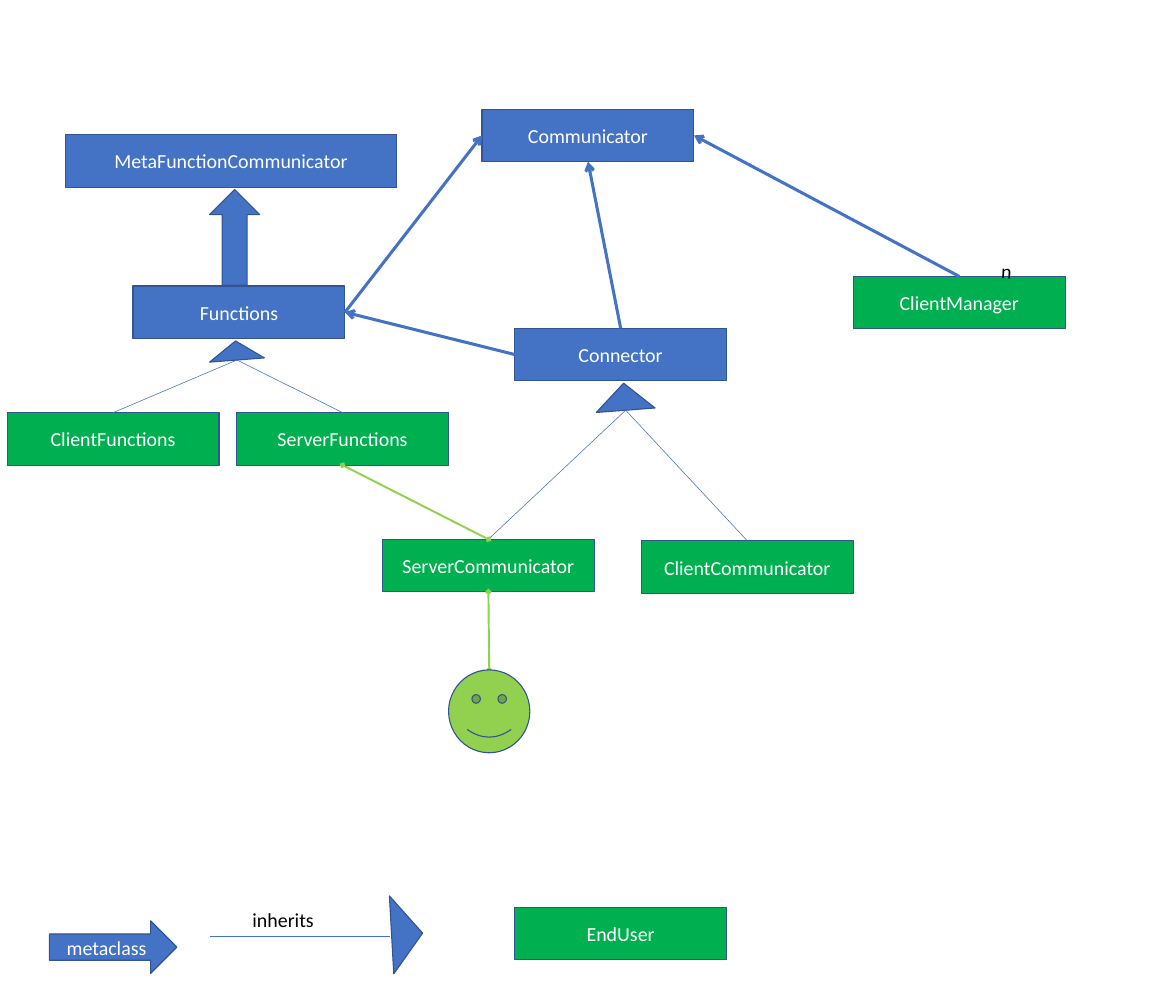
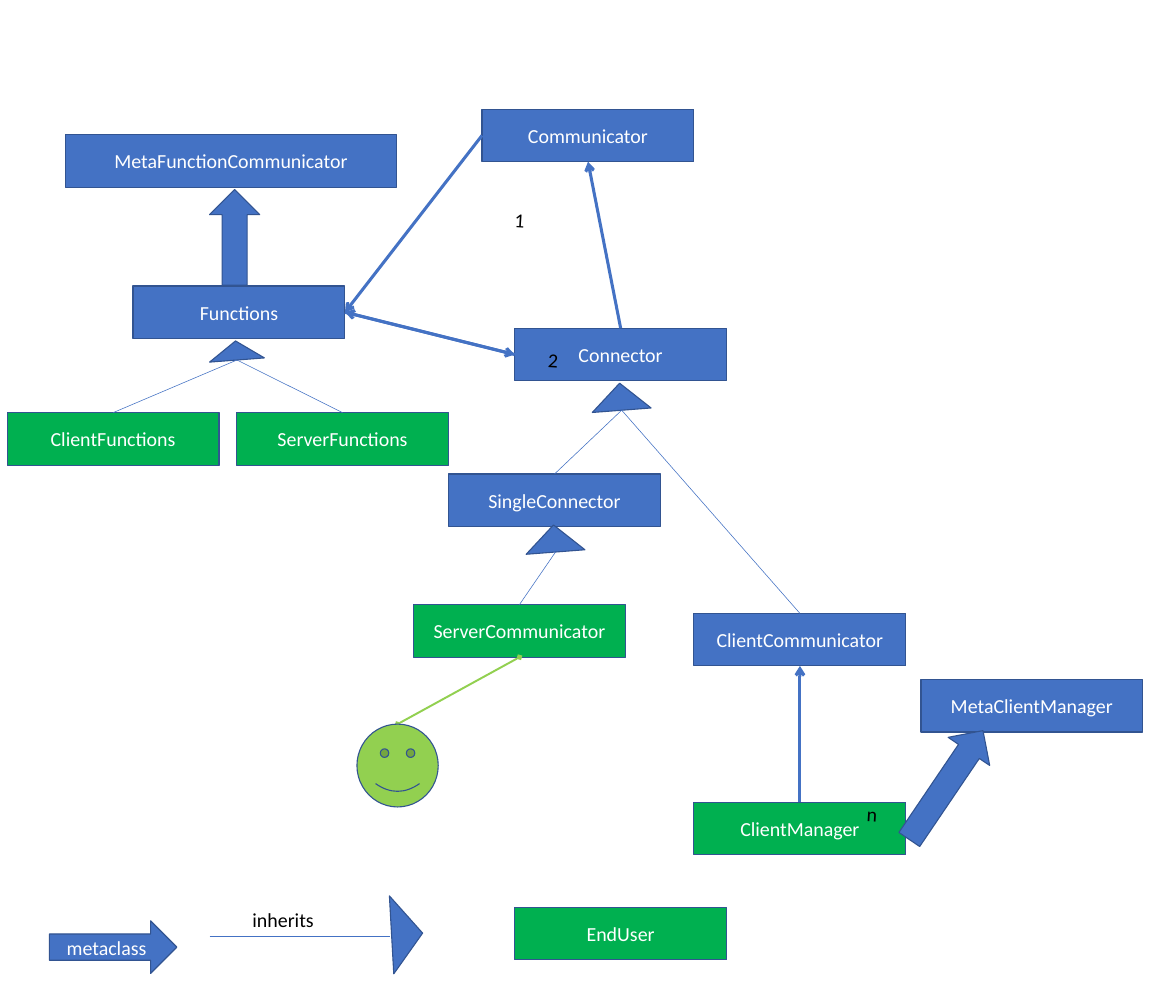
"""Build two class diagrams of a client and server communication library."""
import math

from lxml import etree
from pptx import Presentation
from pptx import util as u
from pptx.dml.color import RGBColor
from pptx.enum import shapes, text
from pptx.oxml.ns import qn

COLOURS = {"blue": "4472C4", "outline": "325491", "green": "00B050",
           "lime": "92D050", "white": "FFFFFF", "black": "000000"}
FONT, FONT_SIZE = "Calibri", 18
SLIDE_SIZE = (14.76, 12.44)
BOX_WIDTH, BOX_HEIGHT = 2.66, 0.66
LABEL_SIZE = (0.75, 0.4)
LABEL_TILT, TRIANGLE_TILT = 3.6, 355.6
SITES = ["top", "left", "bottom", "right"]
PRESETS = shapes.MSO_SHAPE

# name, left, top, fill, width
SHARED_BOXES = [
    ("Communicator", 6.05, 1.37, "blue", BOX_WIDTH),
    ("MetaFunctionCommunicator", 0.82, 1.69, "blue", 4.16),
    ("Connector", 6.46, 4.12, "blue", BOX_WIDTH),
    ("Functions", 1.67, 3.59, "blue", BOX_WIDTH),
    ("ClientFunctions", 0.09, 5.18, "green", BOX_WIDTH),
    ("ServerFunctions", 2.97, 5.18, "green", BOX_WIDTH),
    ("EndUser", 6.46, 11.39, "green", BOX_WIDTH),
]
SHARED_INHERITANCE = [
    ((2.62, 4.28, 0.69, 0.24), ["ClientFunctions", "ServerFunctions"]),
]
SHARED_META_ARROWS = [((2.63, 2.38, 0.63, 1.2), 180)]
SHARED_USES = [("Connector.top", "Communicator.bottom"),
               ("Connector.left", "Functions.right")]

DIAGRAMS = [
    {
        "boxes": [
            ("ServerCommunicator", 4.8, 6.77, "green", BOX_WIDTH),
            ("ClientCommunicator", 8.05, 6.79, "green", BOX_WIDTH),
            ("ClientManager", 10.71, 3.47, "green", BOX_WIDTH),
        ],
        "inheritance": [
            ((7.47, 4.81, 0.74, 0.34),
             ["ServerCommunicator", "ClientCommunicator"]),
        ],
        "meta_arrows": [],
        "uses": [("Functions.right", "Communicator.left"),
                 ("ClientManager.top", "Communicator.right")],
        "user": (5.63, 8.41),
        "user_links": [("User.top", "ServerCommunicator.bottom"),
                       ("ServerCommunicator.top", "ServerFunctions.bottom")],
        "labels": [("n", 12.47, 3.22)],
    },
    {
        "boxes": [
            ("SingleConnector", 5.63, 5.95, "blue", BOX_WIDTH),
            ("ServerCommunicator", 5.19, 7.59, "green", BOX_WIDTH),
            ("ClientCommunicator", 8.71, 7.7, "blue", BOX_WIDTH),
            ("ClientManager", 8.71, 10.07, "green", BOX_WIDTH),
            ("MetaClientManager", 11.56, 8.53, "blue", 2.78),
        ],
        "inheritance": [
            ((7.42, 4.81, 0.74, 0.34),
             ["SingleConnector", "ClientCommunicator"]),
            ((6.59, 6.59, 0.74, 0.34), ["ServerCommunicator"]),
        ],
        "meta_arrows": [((11.56, 9.03, 0.63, 1.65), 214.1)],
        "uses": [("Functions.right", "Connector.left"),
                 ("ClientManager.top", "ClientCommunicator.bottom"),
                 ("Communicator.left", "Functions.right")],
        "user": (4.48, 9.09),
        "user_links": [("User.top", "ServerCommunicator.bottom")],
        "labels": [("n", 10.78, 10.03), ("2", 6.78, 4.33), ("1", 6.36, 2.57)],
    },
]


def rgb(name):
    return RGBColor.from_string(COLOURS[name])


def inches(values):
    return [u.Inches(value) for value in values]


def write(shape, words, colour, alignment):
    shape.text_frame.word_wrap = True
    paragraph = shape.text_frame.paragraphs[0]
    paragraph.alignment = alignment
    run = paragraph.add_run()
    run.text = words
    run.font.name = FONT
    run.font.size = u.Pt(FONT_SIZE)
    run.font.color.rgb = rgb(colour)


def add_figure(slide, preset, bounds, fill="blue", words="", rotation=0):
    shape = slide.shapes.add_shape(preset, *inches(bounds))
    shape.rotation = rotation
    shape.shadow.inherit = False
    shape.fill.solid()
    shape.fill.fore_color.rgb = rgb(fill)
    shape.line.color.rgb = rgb("outline")
    shape.line.width = u.Pt(1)
    if words:
        shape.text_frame.vertical_anchor = text.MSO_ANCHOR.MIDDLE
        write(shape, words, "white", text.PP_ALIGN.CENTER)
    return shape


def add_label(slide, words, bounds, rotation=0):
    label = slide.shapes.add_textbox(*inches(bounds))
    label.rotation = rotation
    write(label, words, "black", text.PP_ALIGN.LEFT)
    label.text_frame.auto_size = text.MSO_AUTO_SIZE.SHAPE_TO_FIT_TEXT


def add_line(slide, start=(0, 0), end=(0, 0), colour="blue", width=0.5,
             head=None, tail=None):
    line = slide.shapes.add_connector(
        shapes.MSO_CONNECTOR.STRAIGHT, *inches(start + end))
    line.line.color.rgb = rgb(colour)
    line.line.width = u.Pt(width)
    properties = line._element.spPr
    outline = properties.find(qn("a:ln"))
    for tag, kind in (("a:headEnd", head), ("a:tailEnd", tail)):
        if kind:
            etree.SubElement(outline, qn(tag), type=kind)
    etree.SubElement(properties, qn("a:effectLst"))
    return line


def add_link(slide, figures, ends, **style):
    line = add_line(slide, **style)
    for connect, end in zip((line.begin_connect, line.end_connect), ends):
        name, site = end.split(".")
        connect(figures[name], SITES.index(site))


def add_inheritance(slide, figures, bounds, children):
    add_figure(slide, PRESETS.ISOSCELES_TRIANGLE, bounds,
               rotation=TRIANGLE_TILT)
    left, top, width, height = bounds
    angle = math.radians(TRIANGLE_TILT)
    base = (left + width / 2 - math.sin(angle) * height / 2,
            top + height / 2 + math.cos(angle) * height / 2)
    for child in children:
        add_line(slide, start=base).end_connect(
            figures[child], SITES.index("top"))


def add_legend(slide):
    add_figure(slide, PRESETS.RIGHT_ARROW, (0.62, 11.56, 1.6, 0.66),
               words="metaclass")
    add_line(slide, (2.63, 11.75), (4.89, 11.75))
    add_figure(slide, PRESETS.ISOSCELES_TRIANGLE, (4.62, 11.53, 0.98, 0.39),
               rotation=86.8)
    add_label(slide, "inherits", (3.07, 11.35, 1.37, 0.4))


def add_diagram(presentation, diagram):
    slide = presentation.slides.add_slide(presentation.slide_layouts[6])
    figures = {}
    for name, left, top, fill, width in SHARED_BOXES + diagram["boxes"]:
        figures[name] = add_figure(slide, PRESETS.RECTANGLE,
                                   (left, top, width, BOX_HEIGHT), fill, name)
    user = add_figure(slide, PRESETS.SMILEY_FACE,
                      diagram["user"] + (1.02, 1.04), "lime")
    figures["User"] = user
    for bounds, children in SHARED_INHERITANCE + diagram["inheritance"]:
        add_inheritance(slide, figures, bounds, children)
    for bounds, rotation in SHARED_META_ARROWS + diagram["meta_arrows"]:
        add_figure(slide, PRESETS.DOWN_ARROW, bounds, rotation=rotation)
    for ends in SHARED_USES + diagram["uses"]:
        add_link(slide, figures, ends, width=2.75, tail="arrow")
    for ends in diagram["user_links"]:
        add_link(slide, figures, ends, colour="lime", width=1.75,
                 head="diamond", tail="diamond")
    slide.shapes._spTree.append(user._element)
    add_legend(slide)
    for words, left, top in diagram["labels"]:
        add_label(slide, words, (left, top) + LABEL_SIZE, LABEL_TILT)


def main():
    presentation = Presentation()
    presentation.slide_width, presentation.slide_height = inches(SLIDE_SIZE)
    for diagram in DIAGRAMS:
        add_diagram(presentation, diagram)
    presentation.save("out.pptx")


if __name__ == "__main__":
    main()
